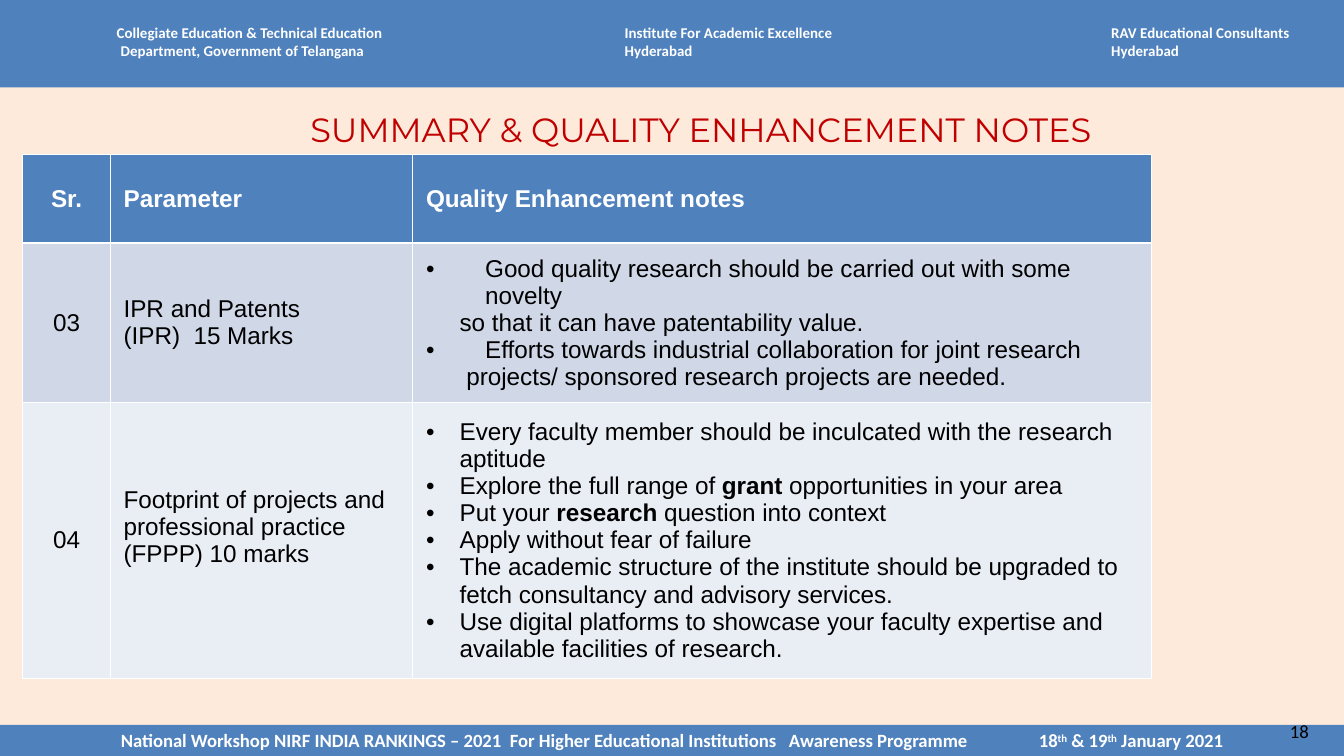
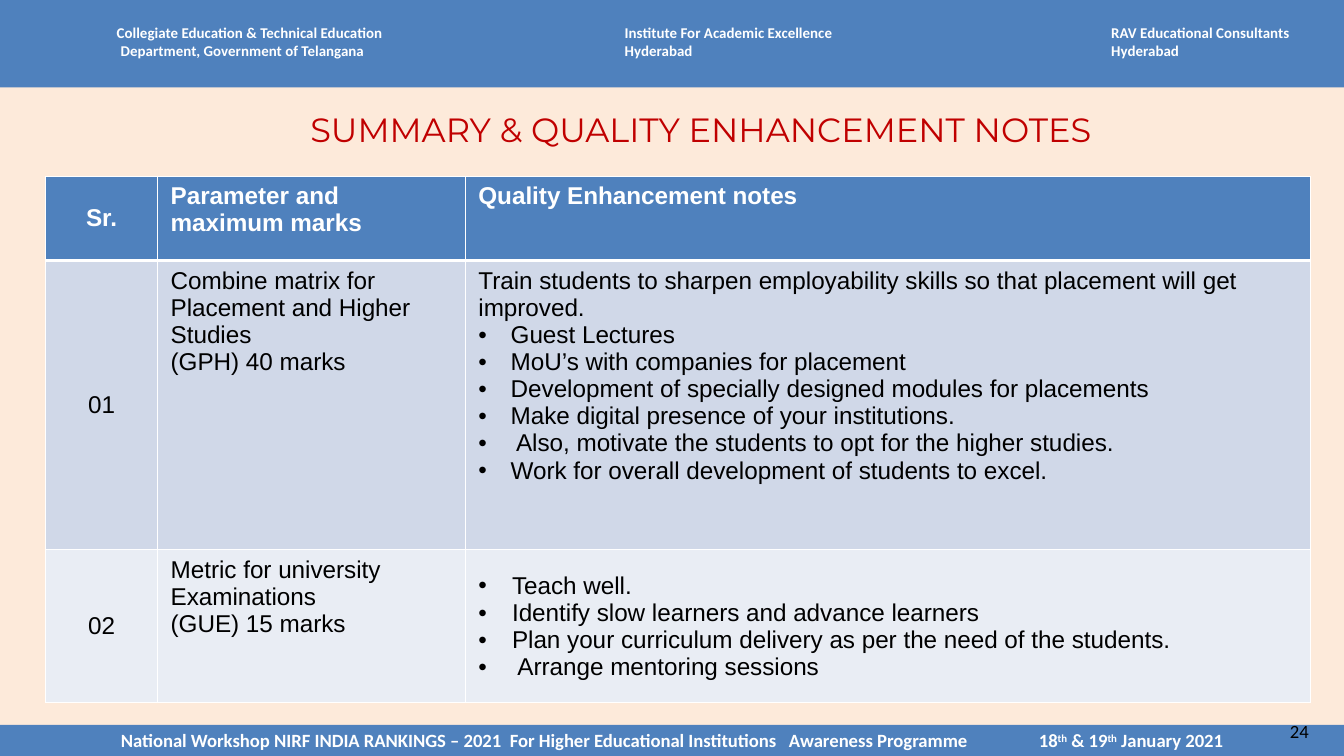
from collections import namedtuple

from lxml import etree
from pptx import Presentation
from pptx.dml.color import RGBColor
from pptx.enum.shapes import MSO_SHAPE
from pptx.enum.text import MSO_ANCHOR, MSO_AUTO_SIZE, PP_ALIGN
from pptx.oxml.ns import qn
from pptx.util import Inches, Pt

RECTANGLE = MSO_SHAPE.RECTANGLE
TOP, MIDDLE = MSO_ANCHOR.TOP, MSO_ANCHOR.MIDDLE
LEFT, CENTER = PP_ALIGN.LEFT, PP_ALIGN.CENTER
NO_AUTOFIT = MSO_AUTO_SIZE.NONE

BLUE = RGBColor(0x4F, 0x81, 0xBD)
PEACH = RGBColor(0xFD, 0xEA, 0xDA)
RED = RGBColor(0xC0, 0x00, 0x00)
WHITE = RGBColor(0xFF, 0xFF, 0xFF)
BLACK = RGBColor(0x00, 0x00, 0x00)
ROW_FILLS = (BLUE, RGBColor(0xD0, 0xD8, 0xE8), RGBColor(0xE9, 0xED, 0xF4))

PAGE_WIDTH = Inches(10)
PAGE_HEIGHT = PAGE_WIDTH * 9 // 16
TITLE = "SUMMARY & QUALITY ENHANCEMENT NOTES"
THIN, THICK = 0.45, 1.47
TITLE_ONLY = 5

Line = namedtuple("Line", "text indent bulleted", defaults=(0, False))
Cell = namedtuple("Cell", "lines anchor bottom", defaults=(MIDDLE, 0.05))

ORGANISERS = (
    (0.77, 2.22, (Line("Collegiate Education & Technical Education"),
                  Line("Department, Government of Telangana", 0.03))),
    (4.55, 1.75, (Line("Institute For Academic Excellence"), Line("Hyderabad"))),
    (8.17, 1.67, (Line("RAV Educational Consultants"), Line("Hyderabad"))),
)


def bullet(text, indent=0.25):
    return Line(text, indent, True)


def set_font(target, name, size, color, bold=False):
    font = target.font
    font.name, font.size, font.bold = name, Pt(size), bold
    font.color.rgb = color


def set_indent(para, line):
    props = para._p.get_or_add_pPr()
    props.set("marL", str(Inches(line.indent)))
    props.set("indent", str(-Inches(line.indent) if line.bulleted else 0))
    if line.bulleted:
        etree.SubElement(props, qn("a:buFont")).set("typeface", "Arial")
        etree.SubElement(props, qn("a:buChar")).set("char", "•")


def write_lines(frame, lines, name, size, color, bold=False, align=LEFT):
    for index, line in enumerate(lines):
        para = frame.add_paragraph() if index else frame.paragraphs[0]
        para.alignment = align
        set_indent(para, line)
        set_font(para, name, size, color, bold)
        for part, text in enumerate(line.text.split("*")):
            span = para.add_run()
            span.text = text
            if part % 2:
                span.font.bold = True


def add_band(page, top, height):
    band = page.shapes.add_shape(RECTANGLE, 0, top, PAGE_WIDTH, height)
    band.shadow.inherit = False
    band.fill.solid()
    band.fill.fore_color.rgb = BLUE
    band.line.fill.background()
    return band


def add_label(page, left, top, width, height, lines, size, color, bold):
    box = page.shapes.add_textbox(Inches(left), Inches(top), Inches(width), Inches(height))
    box.text_frame.word_wrap = True
    write_lines(box.text_frame, lines, "Calibri", size, color, bold)


def add_header(page):
    add_band(page, 0, Inches(0.65))
    for left, width, lines in ORGANISERS:
        add_label(page, left, 0.13, width, 0.37, lines, 8, WHITE, True)


def add_footer(page, number):
    height = Inches(0.23)
    frame = add_band(page, PAGE_HEIGHT - height, height).text_frame
    frame.margin_left = Inches(0.9)
    frame.vertical_anchor = MIDDLE
    para = frame.paragraphs[0]
    para.alignment = LEFT
    tabs = etree.SubElement(para._p.get_or_add_pPr(), qn("a:tabLst"))
    etree.SubElement(tabs, qn("a:tab"), pos=str(Inches(6.83)), algn="l")
    set_font(para, "Calibri", 10, WHITE, True)
    workshop = ("National Workshop NIRF INDIA RANKINGS – 2021  "
                "For Higher Educational Institutions   Awareness Programme")
    for text in (workshop + "\t18", "th", " & 19", "th", " January 2021"):
        span = para.add_run()
        span.text = text
        if text == "th":
            span._r.get_or_add_rPr().set("baseline", "30000")
    add_label(page, 9.5, 5.31, 0.5, 0.27, [Line(number)], 10, BLACK, False)


def add_title(page):
    title = page.shapes.title
    title.left, title.top = 0, Inches(0.81)
    title.width, title.height = PAGE_WIDTH, Inches(0.33)
    frame = title.text_frame
    frame.margin_left = frame.margin_right = frame.margin_top = frame.margin_bottom = 0
    frame.auto_size = NO_AUTOFIT
    frame.vertical_anchor = TOP
    write_lines(frame, [Line(TITLE, 0.43)], "Montserrat", 18, RED, align=CENTER)


def set_borders(cell, row):
    props = cell._tc.get_or_add_tcPr()
    widths = {"lnL": THIN, "lnR": THIN, "lnT": THICK if row == 1 else THIN,
              "lnB": THICK if row == 0 else THIN}
    for tag, width in widths.items():
        edge = etree.SubElement(props, qn("a:" + tag), w=str(Pt(width)))
        fill = etree.SubElement(edge, qn("a:solidFill"))
        etree.SubElement(fill, qn("a:srgbClr"), val=str(WHITE))


def add_notes_table(page, left, top, widths, heights, rows):
    table = page.shapes.add_table(
        len(rows), len(widths), Inches(left), Inches(top),
        Inches(sum(widths)), Inches(sum(heights))).table
    for column, width in zip(table.columns, widths):
        column.width = Inches(width)
    for row, (height, contents) in enumerate(zip(heights, rows)):
        table.rows[row].height = Inches(height)
        for column, content in enumerate(contents):
            cell = table.cell(row, column)
            cell.vertical_anchor = content.anchor
            cell.margin_bottom = Inches(content.bottom)
            set_borders(cell, row)
            cell.fill.solid()
            cell.fill.fore_color.rgb = ROW_FILLS[row]
            write_lines(cell.text_frame, content.lines, "Arial", 13,
                        BLACK if row else WHITE, row == 0,
                        LEFT if column else CENTER)


def add_summary_page(deck, number, **table):
    page = deck.slides.add_slide(deck.slide_layouts[TITLE_ONLY])
    add_header(page)
    add_footer(page, number)
    add_title(page)
    add_notes_table(page, **table)


RESEARCH_ROWS = (
    (Cell([Line("Sr.")]), Cell([Line("Parameter")]),
     Cell([Line("Quality Enhancement notes")])),
    (Cell([Line("03")]),
     Cell([Line("IPR and Patents"), Line("(IPR)  15 Marks")]),
     Cell([bullet("Good quality research should be carried out with some novelty", 0.44),
           Line("so that it can have patentability value.", 0.25),
           bullet("Efforts towards industrial collaboration for joint research", 0.44),
           Line("projects/ sponsored research projects are needed.", 0.3)])),
    (Cell([Line("04")]),
     Cell([Line("Footprint of projects and professional practice (FPPP) 10 marks")],
          bottom=0.25),
     Cell([bullet("Every faculty member should be inculcated with the research aptitude"),
           bullet("Explore the full range of *grant* opportunities in your area"),
           bullet("Put your *research* question into context"),
           bullet("Apply without fear of failure"),
           bullet("The academic structure of the institute should be upgraded to "
                  "fetch consultancy and advisory services."),
           bullet("Use digital platforms to showcase your faculty expertise and "
                  "available facilities of research.")])),
)

PLACEMENT_ROWS = (
    (Cell([Line("Sr.")]), Cell([Line("Parameter and maximum marks")], TOP),
     Cell([Line("Quality Enhancement notes")], TOP)),
    (Cell([Line("01")]),
     Cell([Line("Combine matrix for Placement and Higher Studies"),
           Line("(GPH) 40 marks")], TOP),
     Cell([Line("Train students to sharpen employability skills so that "
                "placement will get improved."),
           bullet("Guest Lectures", 0.24),
           bullet("MoU’s with companies for placement", 0.24),
           bullet("Development of specially designed modules for placements", 0.24),
           bullet("Make digital presence of your institutions.", 0.24),
           bullet("Also, motivate the students to opt for the higher studies.", 0.28),
           bullet("Work for overall development of students to excel.", 0.24)], TOP)),
    (Cell([Line("02")]),
     Cell([Line("Metric for university Examinations"), Line("(GUE) 15 marks")], TOP),
     Cell([bullet("Teach well."),
           bullet("Identify slow learners and advance learners"),
           bullet("Plan your curriculum delivery as per the need of the students."),
           bullet("Arrange mentoring sessions", 0.29)])),
)


def main():
    deck = Presentation()
    deck.slide_width, deck.slide_height = PAGE_WIDTH, PAGE_HEIGHT
    background = deck.slide_master.background.fill
    background.solid()
    background.fore_color.rgb = PEACH
    add_summary_page(deck, "18", left=0.17, top=1.15, widths=(0.65, 2.25, 5.5),
                     heights=(0.66, 1.11, 2.05), rows=RESEARCH_ROWS)
    add_summary_page(deck, "24", left=0.34, top=1.31, widths=(0.83, 2.29, 6.29),
                     heights=(0.63, 2.15, 1.14), rows=PLACEMENT_ROWS)
    deck.save("out.pptx")


if __name__ == "__main__":
    main()
